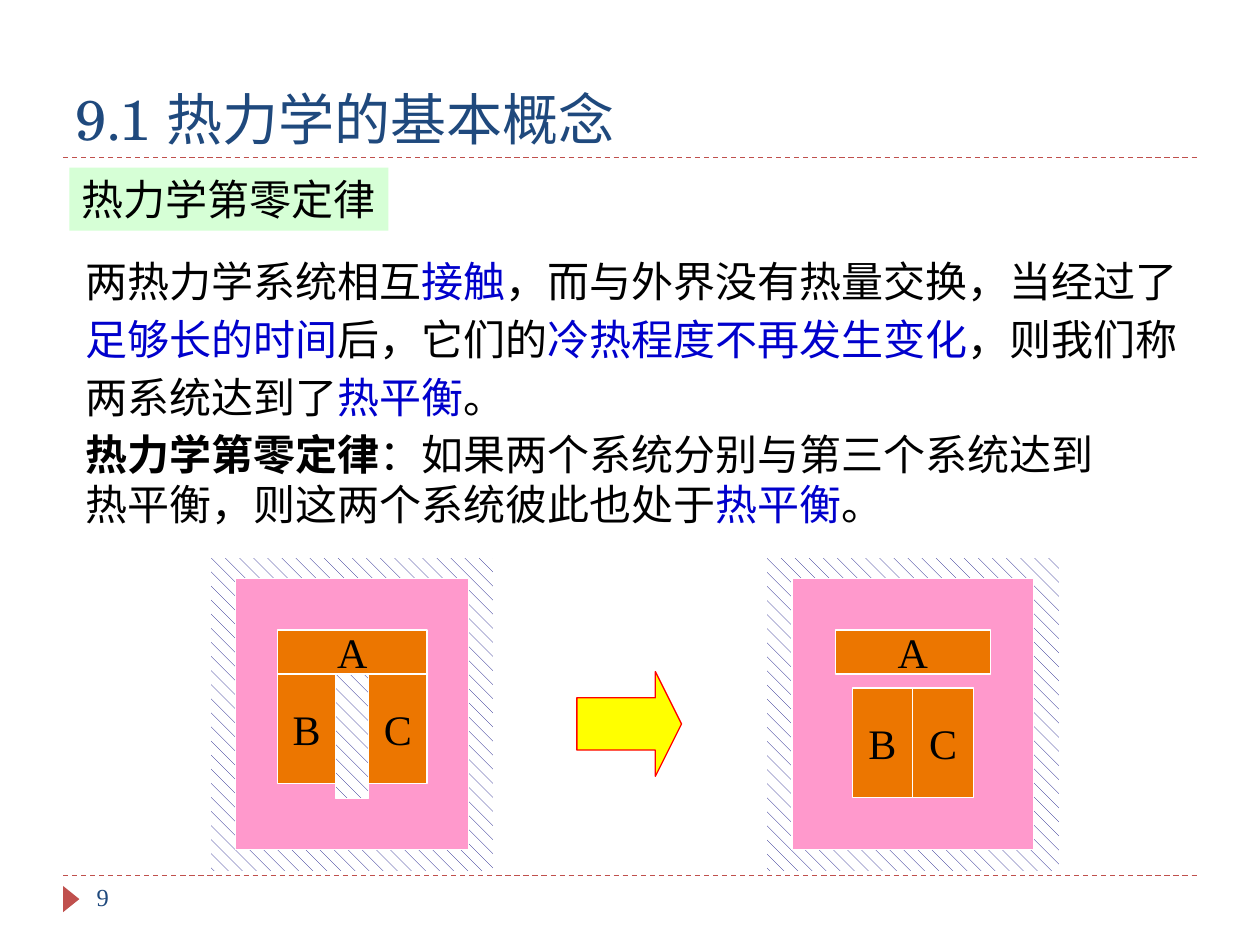
from lxml import etree
from pptx import Presentation, util as u
from pptx.dml.color import RGBColor
from pptx.enum import dml, shapes, text
from pptx.oxml.ns import qn

SERIF = "Times New Roman"
TITLE_FONT = "TeX Gyre Schola"
BLACK, WHITE, NAVY, BLUE, RED = "000000", "FFFFFF", "1F497D", "0000CC", "C0504D"
ORANGE, PINK = "EC7600", "FF99CC"


def paint(color_format, value):
    color_format.rgb = RGBColor.from_string(value)


def add_span(para, words, color=BLACK, size=24, font=SERIF, bold=False):
    span = para.add_run()
    span.text = words
    span.font.name, span.font.size, span.font.bold = font, u.Pt(size), bold
    paint(span.font.color, color)


def add_text(page, box, spans, anchor=text.MSO_ANCHOR.TOP, spacing=1.0, **style):
    """spans is a list of (words, color) or (words, color, bold)."""
    frame = page.shapes.add_textbox(*map(u.Cm, box)).text_frame
    frame.word_wrap = True
    frame.vertical_anchor = anchor
    para = frame.paragraphs[0]
    para.line_spacing = spacing
    for words, color, *bold in spans:
        add_span(para, words, color, bold=bool(bold and bold[0]), **style)


def add_block(parent, box, fill, line=None, kind=shapes.MSO_SHAPE.RECTANGLE, label=None):
    block = parent.shapes.add_shape(kind, *map(u.Cm, box))
    block.shadow.inherit = False
    if fill == "hatch":
        block.fill.patterned()
        block.fill.pattern = dml.MSO_PATTERN.SHINGLE
        paint(block.fill.fore_color, "01017D")
        paint(block.fill.back_color, WHITE)
    else:
        block.fill.solid()
        paint(block.fill.fore_color, fill)
    if line:
        paint(block.line.color, line)
        block.line.width = u.Pt(0.75)
    else:
        block.line.fill.background()
    if label:
        frame = block.text_frame
        frame.word_wrap = False
        frame.vertical_anchor = text.MSO_ANCHOR.MIDDLE
        para = frame.paragraphs[0]
        para.alignment = text.PP_ALIGN.CENTER
        add_span(para, label)
    return block


def add_rule(page, left, top, width):
    rule = page.shapes.add_connector(
        shapes.MSO_CONNECTOR.STRAIGHT, *map(u.Cm, (left, top, left + width, top)))
    paint(rule.line.color, RED)
    rule.line.width = u.Pt(0.75)
    rule.line.dash_style = dml.MSO_LINE.DASH
    etree.SubElement(rule._element.spPr, qn("a:effectLst"))


def header(page, box):
    left, top, width, height = box
    add_rule(page, left, top + height, width)
    add_text(page, box, [("9.1 热力学的基本概念", NAVY)],
             anchor=text.MSO_ANCHOR.BOTTOM, size=32, font=TITLE_FONT)


def footer(page, box):
    left, top, width, height = box
    add_rule(page, left, top, width)
    marker = add_block(page, (left - 0.1, top + 0.31, 0.53, 0.33), RED,
                       kind=shapes.MSO_SHAPE.ISOSCELES_TRIANGLE)
    marker.rotation = 90
    add_text(page, (left + 0.43, top, 5.5, height), [("9", NAVY)], size=14)


def law(page, box):
    left, top, width, height = box
    # Green heading
    heading = add_block(page, (left, top, 6.43, 1.27), "CCFFCC", label="热力学第零定律")
    fill_color = heading._element.spPr.find(qn("a:solidFill"))[0]
    etree.SubElement(fill_color, qn("a:alpha"), val="80000")
    # Thermal equilibrium
    add_text(page, (left + 0.08, top + 1.5, width, 3.76), [
        ("两热力学系统相互", BLACK), ("接触", BLUE),
        ("，而与外界没有热量交换，当经过了", BLACK), ("足够长的时间", BLUE),
        ("后，它们的", BLACK), ("冷热程度不再发生变化", BLUE),
        ("，则我们称两系统达到了", BLACK), ("热平衡", BLUE), ("。", BLACK),
    ], spacing=1.15)
    # Zeroth law
    add_text(page, (left + 0.08, top + 5.13, width - 1.22, height - 5.13), [
        ("热力学第零定律", BLACK, True),
        ("：如果两个系统分别与第三个系统达到热平衡，则这两个系统彼此也处于", BLACK),
        ("热平衡", BLUE), ("。", BLACK),
    ])


def heat_diagram(page, box, wall=0, drop=0):
    """Bodies A, B and C in an insulated chamber; wall parts B and C, drop parts them from A."""
    left, top, width, height = box
    scale = width / 5.72
    center = left + width / 2
    group = page.shapes.add_group_shape()

    def centered(part_width, part_top, part_height):
        part_width *= scale
        return center - part_width / 2, top + part_top, part_width, part_height

    add_block(group, box, "hatch", WHITE)
    add_block(group, centered(4.7, 0.43, height - 0.89), PINK, WHITE)
    add_block(group, centered(3.02, 1.47, 0.89), ORANGE, WHITE, label="A")
    body, body_top = 1.18 * scale, top + 2.36 + drop
    for label, body_left in (("B", center - wall / 2 - body), ("C", center + wall / 2)):
        add_block(group, (body_left, body_top, body, 2.21), ORANGE, WHITE, label=label)
    if wall:
        add_block(group, (center - wall / 2, body_top, wall, 2.51), "hatch", WHITE)


def arrow(page, box):
    shape = add_block(page, box, "FFFF00", "FF0000", shapes.MSO_SHAPE.RIGHT_ARROW)
    shape.adjustments[0], shape.adjustments[1] = 0.5, 0.25


def main():
    deck = Presentation()
    deck.slide_width, deck.slide_height = u.Cm(25.4), u.Cm(19.05)
    page = deck.slides.add_slide(deck.slide_layouts[6])
    footer(page, (1.27, 17.65, 22.86, 1.02))
    header(page, (1.27, 0.64, 22.86, 2.54))
    law(page, (1.4, 3.38, 22.81, 7.41))
    heat_diagram(page, (4.24, 11.23, 5.72, 6.35), wall=0.66)
    heat_diagram(page, (15.44, 11.23, 5.92, 6.35), drop=0.28)
    arrow(page, (11.63, 13.54, 2.11, 2.11))
    deck.save("out.pptx")


if __name__ == "__main__":
    main()
